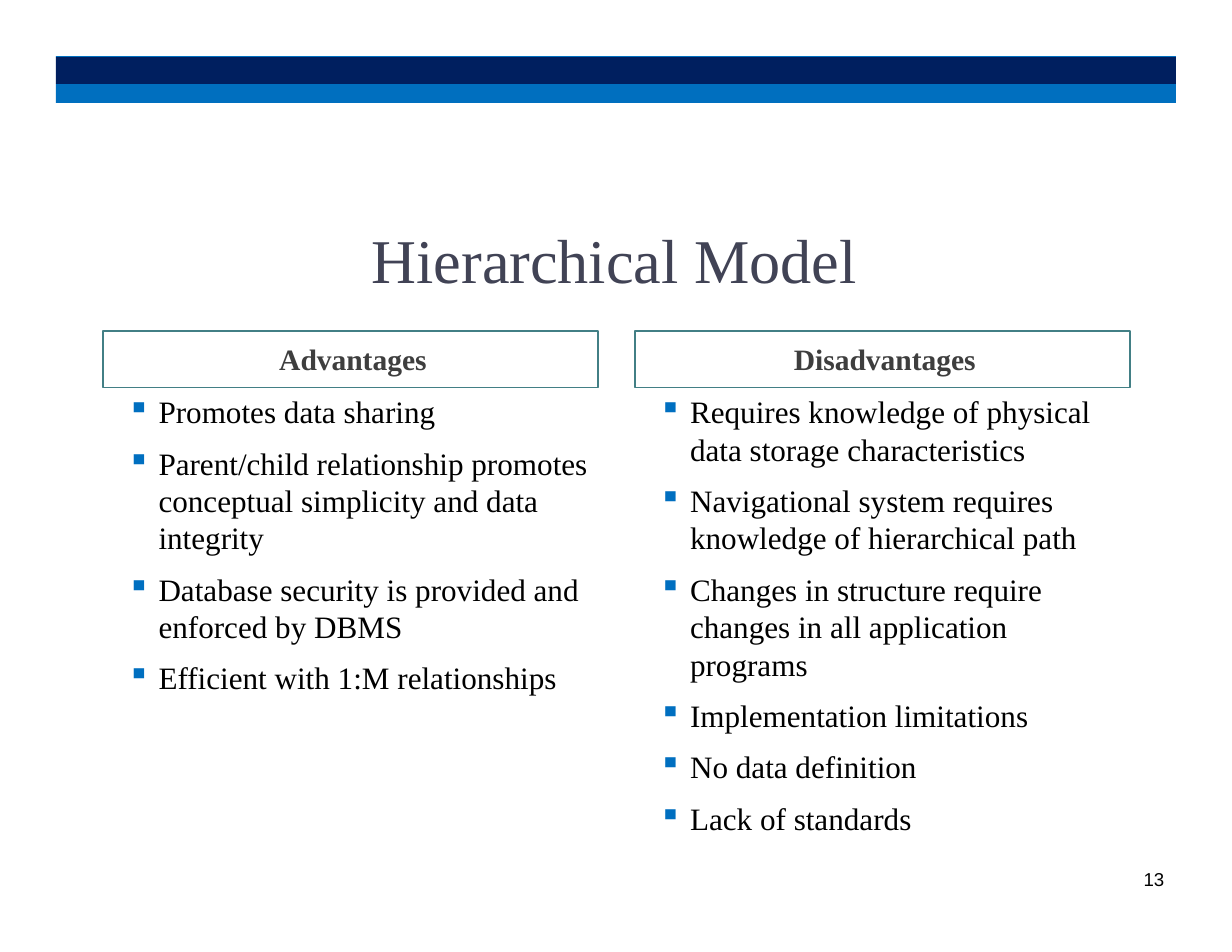
from lxml import etree
from pptx import Presentation
from pptx.dml.color import RGBColor
from pptx.enum.shapes import MSO_SHAPE
from pptx.oxml.ns import qn
from pptx.util import Pt

NAVY = RGBColor(0x00, 0x1F, 0x5F)
BLUE = RGBColor(0x00, 0x6F, 0xBF)
BULLET_BLUE = RGBColor(0x00, 0x6F, 0xC0)
TEAL = RGBColor(0x42, 0x7F, 0x85)
SLATE = RGBColor(0x41, 0x43, 0x55)
GREY = RGBColor(0x3E, 0x3E, 0x3E)
BLACK = RGBColor(0x00, 0x00, 0x00)
SERIF = "Times New Roman"


def add_text_box(left, top, width, height):
    """Return the text frame of a new wrapping box without margins."""
    frame = slide.shapes.add_textbox(Pt(left), Pt(top), Pt(width), Pt(height)).text_frame
    frame.word_wrap = True
    frame.margin_left = frame.margin_right = frame.margin_top = frame.margin_bottom = 0
    return frame


def write(frame, text, size, color, font=SERIF, bold=False, indent=0, before=0, bullet=False):
    """Fill the empty first paragraph of the frame, or append a new one."""
    paragraph = frame.paragraphs[0] if not frame.text else frame.add_paragraph()
    paragraph.text = text
    properties = paragraph._p.get_or_add_pPr()
    properties.set("marL", str(Pt(indent)))
    if bullet:
        properties.set("indent", str(-Pt(20)))
        bullet_color = etree.SubElement(properties, qn("a:buClr"))
        etree.SubElement(bullet_color, qn("a:srgbClr"), val=str(BULLET_BLUE))
        etree.SubElement(properties, qn("a:buChar"), char="▪")
    if before:
        paragraph.space_before = Pt(before)
    for run in paragraph.runs:
        run.font.name = font
        run.font.size = Pt(size)
        run.font.bold = bold
        run.font.color.rgb = color


presentation = Presentation()
presentation.slide_width = Pt(792)
presentation.slide_height = Pt(612)
slide = presentation.slides.add_slide(presentation.slide_layouts[6])

# Banner across the top
for top, height, color in [(54, 12.2, BLUE), (36, 0.7, BLUE), (36.7, 17.3, NAVY)]:
    band = slide.shapes.add_shape(MSO_SHAPE.RECTANGLE, Pt(36), Pt(top), Pt(720), Pt(height))
    band.shadow.inherit = False
    band.fill.solid()
    band.fill.fore_color.rgb = color
    band.line.fill.background()

title = add_text_box(239, 142.5, 314, 49)
write(title, "Hierarchical Model", 40, SLATE)

# Each column: frame left, text left, text width, text height, heading indent, heading, points
columns = [
    (66.1, 80.9, 297.5, 230, 98.6, "Advantages", [
        "Promotes data sharing",
        "Parent/child relationship promotes conceptual simplicity and data integrity",
        "Database security is provided and enforced by DBMS",
        "Efficient with 1:M relationships",
    ]),
    (408.1, 422.6, 281, 320, 87.8, "Disadvantages", [
        "Requires knowledge of physical data storage characteristics",
        "Navigational system requires knowledge of hierarchical path",
        "Changes in structure require changes in all application programs",
        "Implementation limitations",
        "No data definition",
        "Lack of standards",
    ]),
]
for frame_left, text_left, width, height, heading_indent, heading, points in columns:
    border = slide.shapes.add_shape(
        MSO_SHAPE.RECTANGLE, Pt(frame_left), Pt(212.8), Pt(318.4), Pt(36.2))
    border.shadow.inherit = False
    border.fill.background()
    border.line.color.rgb = TEAL
    border.line.width = Pt(1)

    body = add_text_box(text_left, 208.1, width, height)
    body.margin_top = Pt(11)
    write(body, heading, 19, GREY, bold=True, indent=heading_indent)
    for index, point in enumerate(points):
        write(body, point, 20, BLACK, indent=21, before=9 if index else 10.6, bullet=True)

page_number = add_text_box(732.2, 558.2, 19.4, 14)
write(page_number, "13", 12, BLACK, font="Arial", indent=3)

presentation.save("out.pptx")
